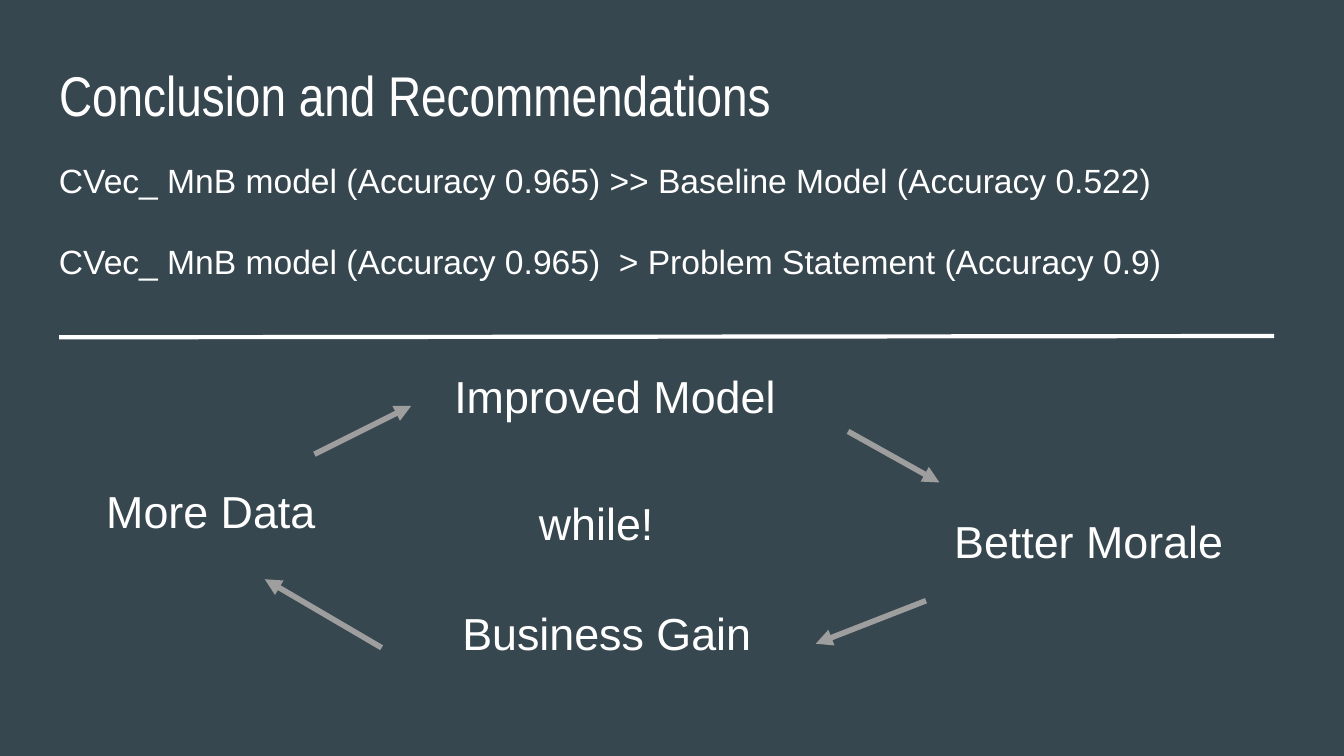
from lxml.etree import SubElement
from pptx import Presentation
from pptx.dml.color import RGBColor
from pptx.enum.shapes import MSO_CONNECTOR
from pptx.enum.text import MSO_ANCHOR, PP_ALIGN
from pptx.oxml.ns import qn
from pptx.util import Inches, Pt

# Content
COLORS = {"back": "37474F", "text": "FFFFFF", "arrow": "9E9E9E"}
TITLE = "Conclusion and Recommendations"
RESULTS = [
    "CVec_ MnB model (Accuracy 0.965) >> Baseline Model (Accuracy 0.522)",
    "CVec_ MnB model (Accuracy 0.965)  > Problem Statement (Accuracy 0.9)",
]
# Cycle labels: text, (left, top, width, height)
LABELS = [
    ("Improved Model", (2.78, 2.64, 3.91, 0.82)),
    ("Better Morale", (6.5, 3.72, 3.3, 0.82)),
    ("Business Gain", (2.84, 4.41, 3.3, 0.82)),
    ("More Data", (0.19, 3.5, 2.88, 0.69)),
    ("while!", (3.41, 3.59, 2.17, 0.63)),
]
# Cycle arrows: start x, start y, end x, end y
ARROWS = [
    (2.34, 3.38, 3.06, 3.02),
    (6.31, 3.21, 6.99, 3.59),
    (6.89, 4.47, 6.07, 4.79),
    (2.84, 4.82, 1.97, 4.31),
]
RULE = (0.44, 2.51, 9.48, 2.5)
WIDTH = 10
HEIGHT = WIDTH * 9 / 16
INSET = 0.1
INDENT = 0.5


def color(name):
    return RGBColor.from_string(COLORS[name])


def write(shape, lines, size, font="Arial", indent=0, gap=0):
    frame = shape.text_frame
    form = {
        "word_wrap": True,
        "vertical_anchor": MSO_ANCHOR.TOP,
        "margin_left": Inches(INSET + indent),
        "margin_right": Inches(INSET),
        "margin_top": Inches(INSET),
        "margin_bottom": Inches(INSET),
    }
    for key, value in form.items():
        setattr(frame, key, value)
    frame.text = "\n".join(lines)
    for para in frame.paragraphs:
        para.alignment = PP_ALIGN.LEFT
        para.space_after = Pt(gap)
        for run in para.runs:
            for key, value in {"size": Pt(size), "name": font}.items():
                setattr(run.font, key, value)
            run.font.color.rgb = color("text")


def draw(slide, ends, name, width, arrow=False):
    line = slide.shapes.add_connector(
        MSO_CONNECTOR.STRAIGHT, *map(Inches, ends))
    line.line.color.rgb = color(name)
    line.line.width = Pt(width)
    if arrow:
        SubElement(line.line._get_or_add_ln(), qn("a:tailEnd"), type="triangle")
    SubElement(line._element.spPr, qn("a:effectLst"))


def main():
    deck = Presentation()
    deck.slide_width, deck.slide_height = Inches(WIDTH), Inches(HEIGHT)
    slide = deck.slides.add_slide(deck.slide_layouts[5])
    slide.background.fill.solid()
    slide.background.fill.fore_color.rgb = color("back")

    # Title
    title = slide.shapes.title
    place = {"left": 0.34, "top": 0.35, "width": 9.32, "height": 0.63}
    for key, value in place.items():
        setattr(title, key, Inches(value))
    write(title, [TITLE], 30, "Arial Narrow")

    # Results
    box = slide.shapes.add_textbox(*map(Inches, (0.34, 1.09, 9.32, 3.9)))
    write(box, RESULTS, 18, gap=22)

    # Dividing rule
    draw(slide, RULE, "text", 2.25)

    # Cycle
    for ends in ARROWS:
        draw(slide, ends, "arrow", 3, arrow=True)
    for text, spot in LABELS:
        box = slide.shapes.add_textbox(*map(Inches, spot))
        write(box, [text], 24, indent=INDENT)

    deck.save("out.pptx")


if __name__ == "__main__":
    main()
